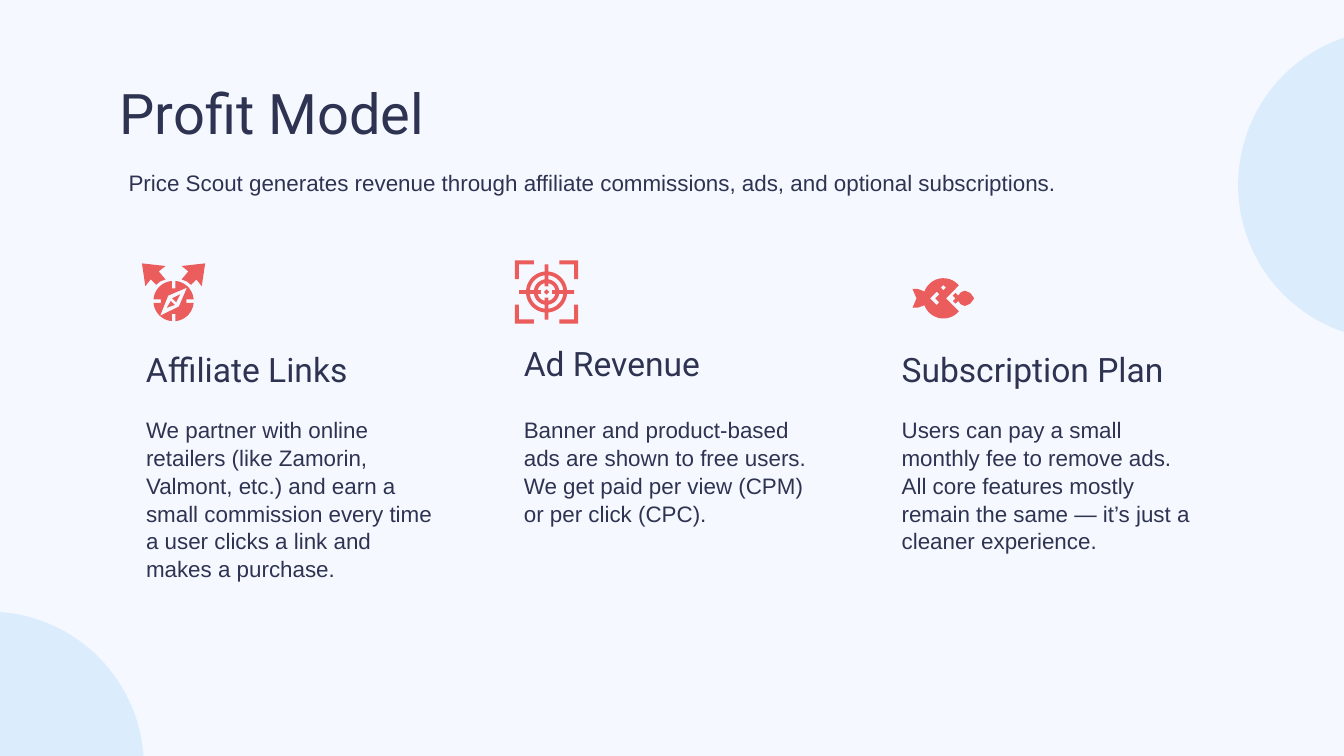
from math import asin, cos, degrees, radians, sin

from lxml.etree import SubElement
from pptx import Presentation
from pptx.dml.color import RGBColor
from pptx.enum.shapes import MSO_SHAPE
from pptx.enum.text import MSO_ANCHOR, MSO_AUTO_SIZE, PP_ALIGN
from pptx.oxml.ns import qn
from pptx.util import Cm, Pt

COLORS = {"background": "F5F9FF", "ink": "2F3352", "circle": "76B8F4", "icon": "EB5C5C"}
HEADING_FONT, BODY_FONT = "Roboto", "Arial"
ICON_UNIT = Cm(2.54) / 100
SUBDIVISIONS = 100  # freeform points are rounded to whole units


def arc(radius, start, end, steps=16):
    """Points on a circle around the origin, angles in degrees."""
    angles = [radians(start + (end - start) * i / steps) for i in range(steps + 1)]
    return [(radius * cos(a), radius * sin(a)) for a in angles]


def mirror(points, x_sign=1, y_sign=1):
    return [(x * x_sign, y * y_sign) for x, y in points]


def spoked_disc(radius, tip, half_width):
    """Disc outline whose four spokes reach out, or notch in, to the tip radius."""
    gap = degrees(asin(half_width / radius))
    outline = []
    for turn in range(0, 360, 90):
        outline += arc(radius, turn + gap, turn + 90 - gap)
        c, s = cos(radians(turn + 90)), sin(radians(turn + 90))
        outline += [(tip * c - w * s, tip * s + w * c) for w in (-half_width, half_width)]
    return outline


def quarter_ring(outer, inner, turn, half_width):
    outer_gap, inner_gap = (degrees(asin(half_width / r)) for r in (outer, inner))
    return (arc(outer, turn + outer_gap, turn + 90 - outer_gap)
            + arc(inner, turn + 90 - inner_gap, turn + inner_gap))


def compass_icon():
    arrow = [(23.5, -28), (6, -26), (11, -22), (6, -16), (10, -14.5), (13, -12),
             (17, -16), (21, -11)]
    dial = [(10, -10), (4, 4), (-10, 11), (-4, -4)]
    return [
        [spoked_disc(15, 9.5, 1.3), dial],
        [[(5, -5), (-1, -2), (2, 1)]],
        [[(-2, 0), (-5, 5), (1, 3)]],
        [arrow],
        [mirror(arrow, x_sign=-1)],
    ]


def target_icon():
    bracket = [(23.5, 23.5), (23.5, 9.5), (20.5, 9.5), (20.5, 20.5), (9.5, 20.5), (9.5, 23.5)]
    brackets = [[mirror(bracket, x, y)] for x in (-1, 1) for y in (-1, 1)]
    gaps = [quarter_ring(12.5, 9.5, turn, 1.4) for turn in range(0, 360, 90)]
    crosshair = [spoked_disc(15.3, 20.5, 1.4), *gaps, spoked_disc(6.7, 4.2, 1.4)]
    return brackets + [crosshair, [[(0, -2), (2, 0), (0, 2), (-2, 0)]]]


def fish_icon():
    tail = [(-19, -7), (-23, -7), (-20, 0), (-23, 7), (-19, 7)]
    body = arc(15, -40, -160) + tail + arc(15, 160, 40) + [(2, 0)]
    eye = [(0, -10), (2, -8), (0, -6), (-2, -8)]
    gill = [(-5, -5), (-3, -3), (-6, 0), (-3, 3), (-5, 5), (-10, 0)]
    back = [(7, -2), (9, -4), (11, -2), (13, -4.5), (16, -5.7), (20, -4)]
    prey = [(9, 0)] + back + [(23, 0)] + mirror(back, y_sign=-1)[::-1]
    return [[body, eye, gill], [prey]]


def write(holder, wording, *, size, font, color="ink", anchor=MSO_ANCHOR.TOP, line_spacing=1.0):
    frame = holder.text_frame
    frame.word_wrap = True
    frame.auto_size = MSO_AUTO_SIZE.NONE
    frame.vertical_anchor = anchor
    frame.margin_left = frame.margin_right = frame.margin_top = frame.margin_bottom = Cm(0.25)
    paragraph = frame.paragraphs[0]
    paragraph.alignment = PP_ALIGN.LEFT
    paragraph.space_before = Pt(0)
    paragraph.line_spacing = line_spacing
    properties = paragraph._p.get_or_add_pPr()
    properties.set("marL", "0")
    properties.set("indent", "0")
    SubElement(properties, qn("a:buNone"))
    run = paragraph.add_run()
    run.text = wording
    run.font.size, run.font.name, run.font.bold = Pt(size), font, False
    run.font.color.rgb = RGBColor.from_string(COLORS[color])


class SlideBuilder:
    def __init__(self, slide):
        self.slide = slide
        background = slide.background.fill
        background.solid()
        background.fore_color.rgb = RGBColor.from_string(COLORS["background"])

    def paint(self, shape, color):
        shape.shadow.inherit = False
        shape.fill.solid()
        shape.fill.fore_color.rgb = RGBColor.from_string(COLORS[color])
        shape.line.fill.background()

    def circle(self, left, top, diameter, opacity):
        disc = self.slide.shapes.add_shape(
            MSO_SHAPE.OVAL, Cm(left), Cm(top), Cm(diameter), Cm(diameter))
        self.paint(disc, "circle")
        tint = disc._element.spPr.find(".//" + qn("a:srgbClr"))
        SubElement(tint, qn("a:alpha")).set("val", str(opacity * 1000))

    def placeholder(self, index, wording, left, top, width, height, **style):
        holder = self.slide.placeholders[index]
        holder.left, holder.top, holder.width, holder.height = map(Cm, (left, top, width, height))
        write(holder, wording, **style)

    def heading(self, wording, left, top, width, height):
        holder = self.slide.shapes.add_textbox(*map(Cm, (left, top, width, height)))
        write(holder, wording, size=18, font=HEADING_FONT, anchor=MSO_ANCHOR.BOTTOM)

    def icon(self, parts, center_x, center_y):
        """Draw each part as one freeform; its later outlines are holes."""
        for outlines in parts:
            builder = None
            for outline in outlines:
                points = [(x * SUBDIVISIONS, y * SUBDIVISIONS) for x, y in outline]
                if builder is None:
                    builder = self.slide.shapes.build_freeform(
                        *points[0], scale=ICON_UNIT / SUBDIVISIONS)
                else:
                    builder.move_to(*points[0])
                builder.add_line_segments(points[1:], close=True)
            self.paint(builder.convert_to_shape(Cm(center_x), Cm(center_y)), "icon")


def main():
    deck = Presentation()
    deck.slide_width, deck.slide_height = Cm(25.4), Cm(14.29)
    page = SlideBuilder(deck.slides.add_slide(deck.slide_layouts.get_by_name("Comparison")))

    for left, top in ((23.4, 0.56), (-3.15, 11.56)):
        page.circle(left, top, 5.87, opacity=20)

    page.placeholder(0, "Profit Model", 2.01, 1.24, 21.41, 1.6, size=30, font=HEADING_FONT)
    page.placeholder(
        1, "Price Scout generates revenue through affiliate commissions, ads, "
        "and optional subscriptions.", 2.18, 2.95, 19.63, 1.6, size=12, font=BODY_FONT)

    # heading, heading top, description, icon, icon centre
    streams = [
        ("Affiliate Links", 5.36,
         "We partner with online retailers (like Zamorin, Valmont, etc.) and earn a small "
         "commission every time a user clicks a link and makes a purchase.",
         compass_icon(), (3.28, 5.69)),
        ("Ad Revenue", 5.26,
         "Banner and product-based ads are shown to free users. We get paid per view (CPM) "
         "or per click (CPC).",
         target_icon(), (10.33, 5.52)),
        ("Subscription Plan", 5.36,
         "Users can pay a small monthly fee to remove ads. All core features mostly remain "
         "the same — it’s just a cleaner experience.",
         fish_icon(), (17.83, 5.64)),
    ]
    column_left, column_pitch, column_width = 2.51, 7.14, 6.1
    for number, (name, heading_top, description, parts, center) in enumerate(streams):
        left = column_left + number * column_pitch
        page.heading(name, left, heading_top, column_width, 2.24)
        page.placeholder(number + 2, description, left, 7.59, column_width, 4.62,
                         size=12, font=BODY_FONT, line_spacing=1.04)
        page.icon(parts, *center)

    deck.save("out.pptx")


if __name__ == "__main__":
    main()
